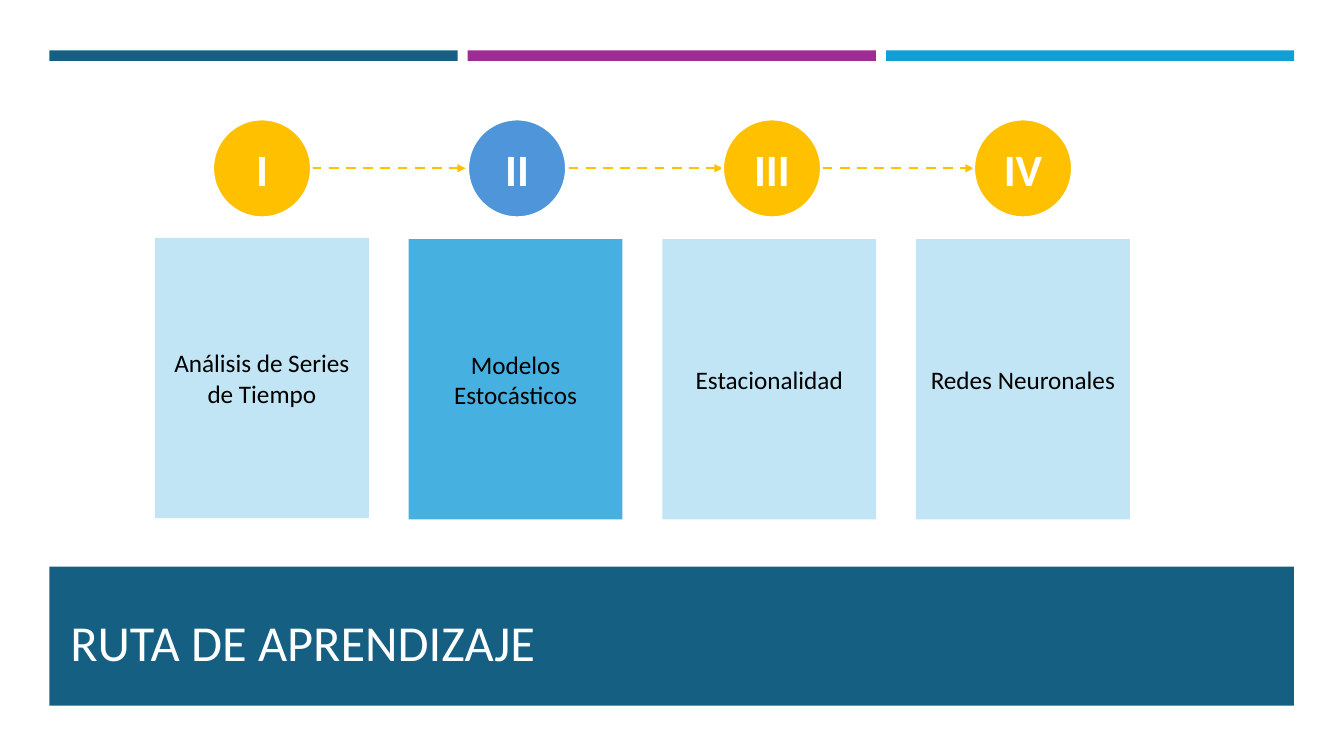
import pptx
import pptx.dml.color
import pptx.enum.dml
import pptx.enum.shapes
import pptx.enum.text
import pptx.oxml
import pptx.oxml.ns
import pptx.util

Pt = pptx.util.Pt
SHAPE = pptx.enum.shapes.MSO_SHAPE
ALIGN = pptx.enum.text.PP_ALIGN
ANCHOR = pptx.enum.text.MSO_ANCHOR


def rgb(value):
    return pptx.dml.color.RGBColor.from_string(value)


class Deck:
    """Holds the style and the current slide and draws each kind of element."""

    font = "Calibri"
    white, black, navy, gold = "FFFFFF", "000000", "156082", "FFC000"

    def __init__(self, prs):
        self.s = prs.slides.add_slide(prs.slide_layouts[6])

    def label(self, sp, text, size, color, bold=False, align=ALIGN.CENTER, anchor=ANCHOR.MIDDLE):
        tf = sp.text_frame
        tf.word_wrap = True
        tf.vertical_anchor = anchor
        p = tf.paragraphs[0]
        p.alignment = align
        r = p.add_run()
        r.text = text
        r.font.name = self.font
        r.font.size = Pt(size)
        r.font.bold = bold
        r.font.color.rgb = rgb(color)

    def shape(self, kind, x, y, w, h, fill):
        sp = self.s.shapes.add_shape(kind, Pt(x), Pt(y), Pt(w), Pt(h))
        sp.shadow.inherit = False
        sp.fill.solid()
        sp.fill.fore_color.rgb = rgb(fill)
        sp.line.fill.background()
        return sp

    def bar(self, x, y, w, h, fill):
        self.shape(SHAPE.RECTANGLE, x, y, w, h, fill)

    def card(self, x, y, w, h, fill, text):
        sp = self.shape(SHAPE.RECTANGLE, x, y, w, h, fill)
        self.label(sp, text, 18, self.black)

    def badge(self, x, y, d, fill, text):
        sp = self.shape(SHAPE.OVAL, x, y, d, d, fill)
        sp.line.color.rgb = rgb(self.white)
        sp.line.width = Pt(2)
        self.label(sp, text, 32, self.white, bold=True)

    def title(self, x, y, w, h, text):
        sp = self.s.shapes.add_textbox(Pt(x), Pt(y), Pt(w), Pt(h))
        self.label(sp, text, 36, self.white, align=ALIGN.LEFT, anchor=ANCHOR.BOTTOM)

    def arrow(self, x1, x2, y):
        cx = self.s.shapes.add_connector(
            pptx.enum.shapes.MSO_CONNECTOR.STRAIGHT, Pt(x1), Pt(y), Pt(x2), Pt(y))
        cx.line.color.rgb = rgb(self.gold)
        cx.line.width = Pt(1.75)
        cx.line.dash_style = pptx.enum.dml.MSO_LINE.DASH
        ns = pptx.oxml.ns.nsdecls("a")
        props = cx.element.spPr
        ln = props.find(pptx.oxml.ns.qn("a:ln"))
        ln.append(pptx.oxml.parse_xml(f'<a:tailEnd {ns} type="triangle"/>'))
        props.append(pptx.oxml.parse_xml(f"<a:effectLst {ns}/>"))


def main():
    prs = pptx.Presentation()
    prs.slide_width, prs.slide_height = Pt(960), Pt(540)
    deck = Deck(prs)

    for i, color in enumerate((deck.navy, "A02B93", "0F9ED5")):
        deck.bar(35.3 + 298.8 * i, 36, 291.6, 7.5, color)
    deck.bar(35.3, 404.8, 889, 99.2, deck.navy)
    deck.title(43.2, 419, 868.3, 64.1, "RUTA DE APRENDIZAJE")

    for x1, x2 in ((222.5, 332.6), (406.1, 516.2), (587.5, 695.5)):
        deck.arrow(x1, x2, 120.2)

    pale = "C1E5F5"
    stages = (
        ("I", 151.9, deck.gold, "Análisis de Series de Tiempo", 169.9, pale),
        ("II", 334.1, "4E95D9", "Modelos Estocásticos", 170.8, "46B1E1"),
        ("III", 516.2, deck.gold, "Estacionalidad", 170.8, pale),
        ("IV", 695.5, deck.gold, "Redes Neuronales", 170.8, pale),
    )
    for i, (numeral, x, badge_fill, topic, card_top, card_fill) in enumerate(stages):
        deck.badge(x, 85, 70.5, badge_fill, numeral)
        deck.card(110.7 + 181.2 * i, card_top, 152.8, 200.2, card_fill, topic)

    prs.save("out.pptx")


if __name__ == "__main__":
    main()
